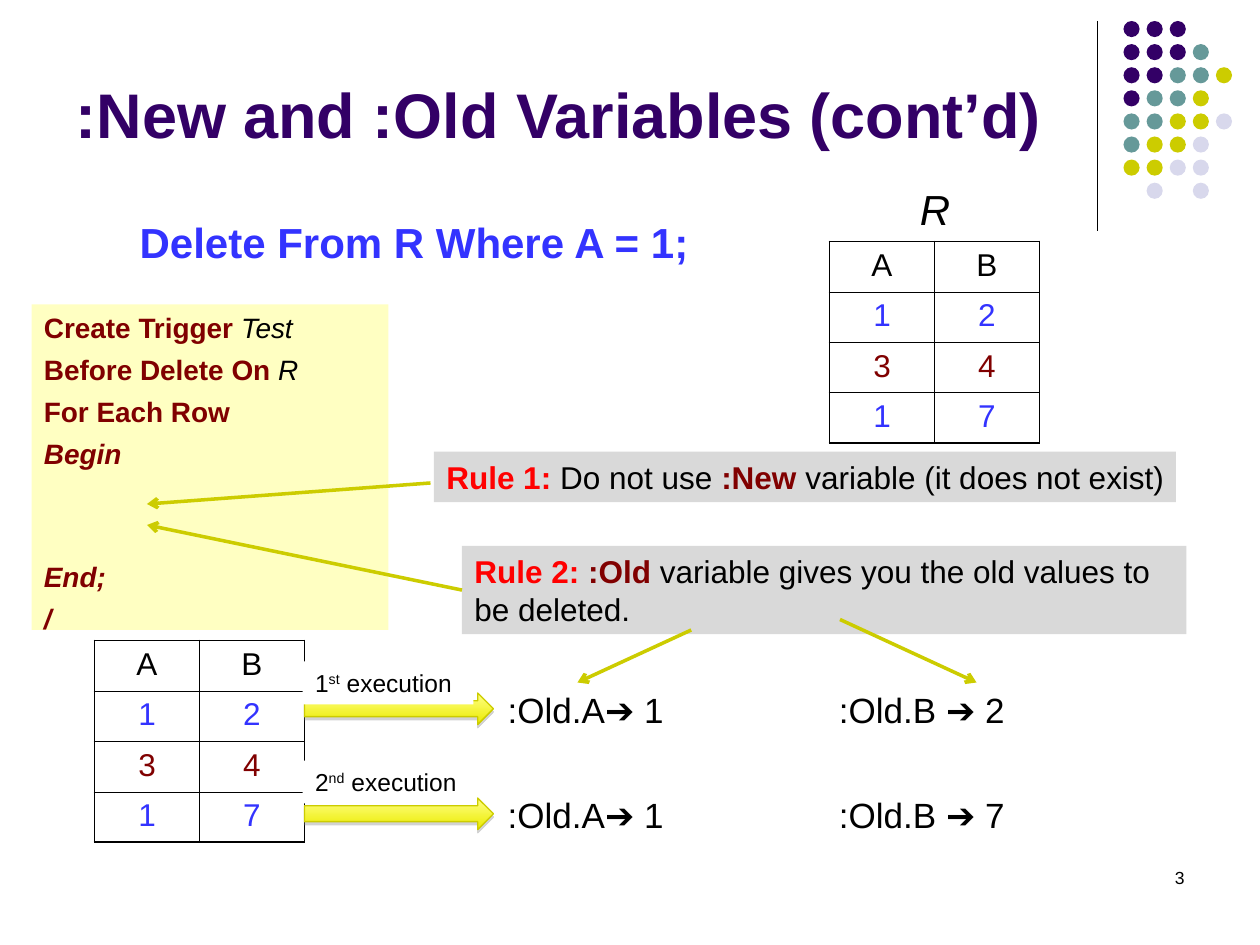
"""Build the slide on :New and :Old trigger variables."""
from lxml import etree
from pptx import Presentation
from pptx.dml.color import RGBColor
from pptx.enum import shapes, text
from pptx.oxml import ns
from pptx.util import Pt

BLACK = RGBColor(0x00, 0x00, 0x00)
WHITE = RGBColor(0xFF, 0xFF, 0xFF)
PURPLE = RGBColor(0x33, 0x00, 0x66)
TEAL = RGBColor(0x66, 0x99, 0x99)
OLIVE = RGBColor(0xCC, 0xCC, 0x00)
LAVENDER = RGBColor(0xD8, 0xD8, 0xEC)
BLUE = RGBColor(0x33, 0x33, 0xFF)
MAROON = RGBColor(0x80, 0x00, 0x00)
RED = RGBColor(0xFF, 0x00, 0x00)
CREAM = RGBColor(0xFF, 0xFF, 0xC2)
GREY = RGBColor(0xD9, 0xD9, 0xD9)
SHADOW_GREY = RGBColor(0x80, 0x80, 0x80)
PALE_YELLOW = RGBColor(0xFF, 0xFF, 0x85)
YELLOW = RGBColor(0xEB, 0xEB, 0x00)

DOT_COLOURS = {"P": PURPLE, "T": TEAL, "O": OLIVE, "L": LAVENDER}
DOT_ROWS = ["PPP", "PPPT", "PPTTO", "PTTO", "TTOOL", "TOOL", "OOLL", " L L"]
TABLE_ROWS = [("AB", BLACK), ("12", BLUE), ("34", MAROON), ("17", BLUE)]


def add_element(parent, tag, **attributes):
    return etree.SubElement(parent, ns.qn(tag), attributes)


class SlideBuilder:
    def __init__(self, slide, font_name="Arial"):
        self.slide = slide
        self.font_name = font_name

    def style(self, font, size, colour, bold=False, italic=False):
        font.name, font.size = self.font_name, Pt(size)
        font.bold, font.italic = bold, italic
        font.color.rgb = colour

    def fill_paragraph(self, paragraph, runs, size):
        looks = {run[1:] for run in runs}
        for wording, colour, letters in runs:
            run = paragraph.add_run()
            run.text = wording
            if len(looks) > 1:
                self.style(run.font, size, colour, "b" in letters, "i" in letters)
            if "s" in letters:
                run.font._element.set("baseline", "30000")
        if len(looks) == 1:
            colour, letters = looks.pop()
            self.style(paragraph.font, size, colour, "b" in letters, "i" in letters)

    def title(self, wording, place, size):
        shape = self.slide.shapes.title
        shape.left, shape.top, shape.width, shape.height = map(Pt, place)
        frame = shape.text_frame
        frame.vertical_anchor = text.MSO_ANCHOR.BOTTOM
        paragraph = frame.paragraphs[0]
        paragraph.alignment = text.PP_ALIGN.LEFT
        self.fill_paragraph(paragraph, [(wording, PURPLE, "b")], size)

    def text(self, lines, place, size, fill=None, wrap=False,
             align=text.PP_ALIGN.LEFT, gaps=None):
        place = map(Pt, place)
        if fill is None:
            shape = self.slide.shapes.add_textbox(*place)
        else:
            shape = self.slide.shapes.add_shape(shapes.MSO_SHAPE.RECTANGLE, *place)
            shape.shadow.inherit = False
            shape.fill.solid()
            shape.fill.fore_color.rgb = fill
            shape.line.fill.background()
        frame = shape.text_frame
        frame.word_wrap = wrap
        frame.vertical_anchor = text.MSO_ANCHOR.TOP
        for index, runs in enumerate(lines):
            paragraph = frame.add_paragraph() if index else frame.paragraphs[0]
            paragraph.alignment = align
            if index and gaps:
                paragraph.space_before = Pt(gaps[index])
            self.fill_paragraph(paragraph, runs, size)
        return shape

    def line(self, start, end, colour, width, arrow=False, source=None):
        connector = self.slide.shapes.add_connector(
            shapes.MSO_CONNECTOR.STRAIGHT, *map(Pt, (*start, *end)))
        if source is not None:
            connector.begin_connect(source, 1)
        connector.line.color.rgb = colour
        connector.line.width = Pt(width)
        if arrow:
            add_element(connector.line._get_or_add_ln(), "a:tailEnd", type="arrow")
        add_element(connector._element.spPr, "a:effectLst")

    def dot(self, left, top, diameter, colour):
        shape = self.slide.shapes.add_shape(
            shapes.MSO_SHAPE.OVAL, *map(Pt, (left, top, diameter, diameter)))
        shape.shadow.inherit = False
        shape.fill.solid()
        shape.fill.fore_color.rgb = colour
        shape.line.fill.background()

    def block_arrow(self, place):
        shape = self.slide.shapes.add_shape(
            shapes.MSO_SHAPE.RIGHT_ARROW, *map(Pt, place))
        shape.fill.gradient()
        shape.fill.gradient_angle = 270
        for stop, colour, position in zip(
                shape.fill.gradient_stops, (PALE_YELLOW, YELLOW), (0, 1)):
            stop.color.rgb, stop.position = colour, position
        shape.line.color.rgb = OLIVE
        shape.line.width = Pt(0.75)
        effects = add_element(shape._element.spPr, "a:effectLst")
        shadow = add_element(effects, "a:outerShdw", blurRad="0",
                             dist=str(Pt(1.8)), dir="5400000", rotWithShape="0")
        colour = add_element(shadow, "a:srgbClr", val=str(SHADOW_GREY))
        add_element(colour, "a:alpha", val="35000")

    def border(self, cell, edges):
        properties = cell._tc.get_or_add_tcPr()
        for index, (side, outer) in enumerate(zip("LRTB", edges)):
            line = add_element(properties, f"a:ln{side}", w=str(Pt(1.08 if outer else 0.45)))
            fill = add_element(line, "a:solidFill")
            add_element(fill, "a:srgbClr", val=str(BLACK))
            properties.insert(index, line)

    def table(self, left, top, column_width=60, row_height=28.8):
        rows, columns = len(TABLE_ROWS), 2
        table = self.slide.shapes.add_table(
            rows, columns, *map(Pt, (left, top, columns * column_width,
                                     rows * row_height))).table
        table.first_row = table.horz_banding = False
        for row, (values, colour) in enumerate(TABLE_ROWS):
            for column, value in enumerate(values):
                cell = table.cell(row, column)
                cell.fill.background()
                paragraph = cell.text_frame.paragraphs[0]
                paragraph.alignment = text.PP_ALIGN.CENTER
                self.fill_paragraph(paragraph, [(value, colour, "")], 18)
                self.border(cell, (column == 0, column == columns - 1,
                                   row == 0, row == rows - 1))


def main():
    presentation = Presentation()
    presentation.slide_width, presentation.slide_height = Pt(720), Pt(540)
    builder = SlideBuilder(presentation.slides.add_slide(presentation.slide_layouts[5]))

    builder.line((627, 12), (627, 132), BLACK, 0.75)
    for row, letters in enumerate(DOT_ROWS):
        for column, letter in enumerate(letters):
            if letter in DOT_COLOURS:
                builder.dot(642 + 13.2 * column, 12 + 13.2 * row, 9.2, DOT_COLOURS[letter])

    builder.title(":New and :Old Variables (cont’d)", (36, 9, 594, 81), 36)
    builder.text([[("3", BLACK, "")]], (516, 492, 168, 36), 10, wrap=True,
                 align=text.PP_ALIGN.RIGHT)
    builder.table(474, 138)
    builder.text([[("R", BLACK, "i")]], (518.5, 101.5, 31.5, 36), 24)
    builder.text([[("Delete From R Where A = 1;", BLUE, "b")]], (72.7, 120, 330, 36), 24)

    trigger = [
        [("Create Trigger ", MAROON, "b"), ("Test", BLACK, "i")],
        [("Before Delete On ", MAROON, "b"), ("R", BLACK, "i")],
        [("For Each Row", MAROON, "b")],
        [("Begin", MAROON, "bi")],
        [("End;", MAROON, "bi")],
        [("/", MAROON, "bi")],
    ]
    builder.text(trigger, (18, 174, 204, 186), 16, CREAM, wrap=True,
                 gaps=(0, 4.8, 4.8, 4.8, 51.2, 4.8))

    builder.line((246, 276), (84, 288), OLIVE, 2, arrow=True)
    builder.text([[("Rule 1: ", RED, "b"), ("Do not use ", BLACK, ""),
                   (":New ", MAROON, "b"), ("variable (it does not exist)", BLACK, "")]],
                 (248, 258, 424, 29), 18, GREY)
    builder.table(54, 366)
    rule_two = builder.text(
        [[("Rule 2: ", RED, "b"), (":Old", MAROON, "b"),
          (" variable gives you the old values to be deleted.", BLACK, "")]],
        (264, 312, 414, 50.4), 18, GREY, wrap=True)
    builder.line((264, 337), (84, 300), OLIVE, 2, arrow=True, source=rule_two)
    builder.line((395, 360), (330, 390), OLIVE, 2, arrow=True)
    builder.line((480, 354), (558, 390), OLIVE, 2, arrow=True)

    executions = [(390, "1", "2", "1", "st", 378), (450, "1", "7", "2", "nd", 434.6)]
    for top, old_a, old_b, *_ in executions:
        builder.text([[(f":Old.A➔ {old_a}", BLACK, "")]], (283, top, 106.5, 31.5), 20)
        builder.text([[(f":Old.B ➔ {old_b}", BLACK, "")]], (472.3, top, 118, 31.5), 20)
        builder.block_arrow((174, top + 6, 108, 18))
    for *_, number, suffix, label_top in executions:
        builder.text([[(number, BLACK, ""), (suffix, BLACK, "s"),
                       (" execution", BLACK, "")]],
                     (173, label_top, 97.5, 24.5), 14, WHITE)

    presentation.save("out.pptx")


if __name__ == "__main__":
    main()
